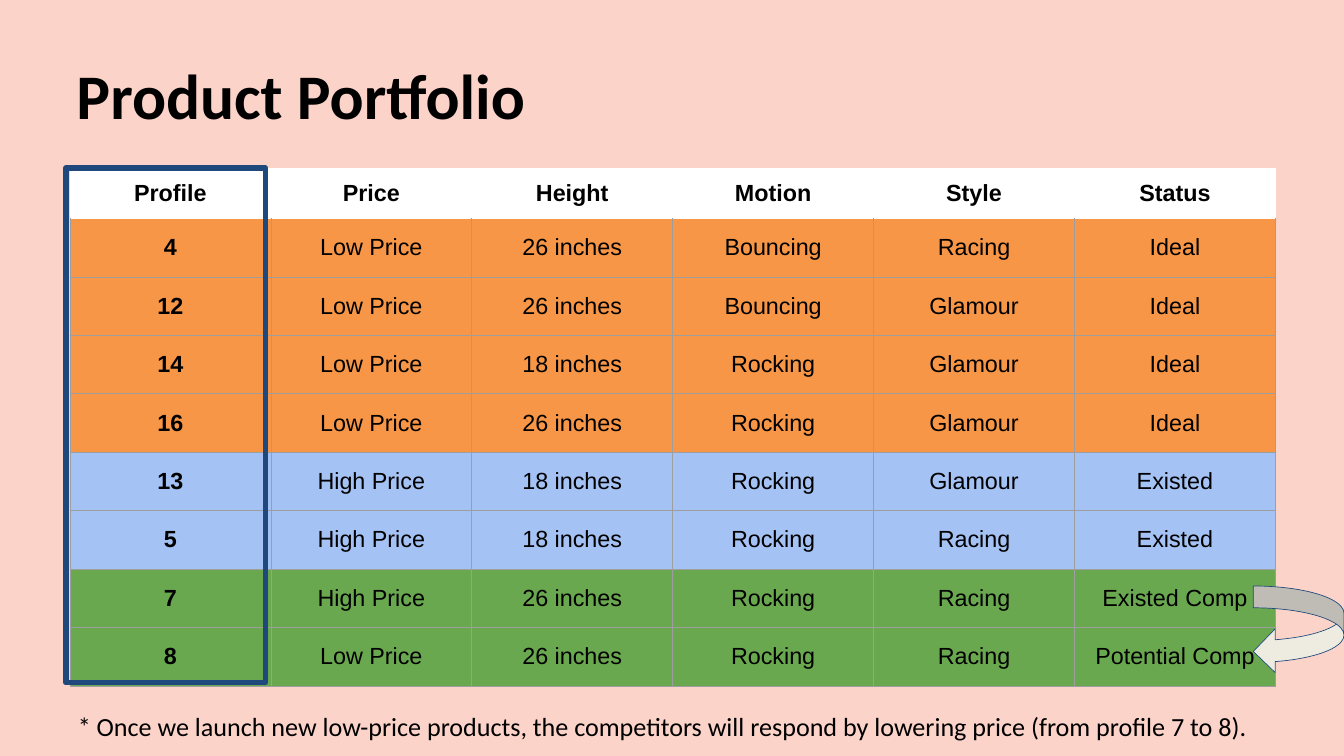
from lxml.etree import SubElement
from pptx import Presentation
from pptx.dml.color import RGBColor
from pptx.enum.shapes import MSO_SHAPE
from pptx.enum.text import MSO_ANCHOR, PP_ALIGN
from pptx.oxml.ns import qn
from pptx.util import Inches, Pt

COLORS = {
    "back": "FBD3C9",
    "text": "000000",
    "head": "FFFFFF",
    "ideal": "F79646",
    "own": "A4C2F4",
    "rival": "6AA84F",
    "grid": "9E9E9E",
    "arrow": "EEECE1",
    "navy": "1F497D",
}

ROWS = [
    ("head", "Profile", "Price", "Height", "Motion", "Style", "Status"),
    ("ideal", "4", "Low Price", "26 inches", "Bouncing", "Racing", "Ideal"),
    ("ideal", "12", "Low Price", "26 inches", "Bouncing", "Glamour", "Ideal"),
    ("ideal", "14", "Low Price", "18 inches", "Rocking", "Glamour", "Ideal"),
    ("ideal", "16", "Low Price", "26 inches", "Rocking", "Glamour", "Ideal"),
    ("own", "13", "High Price", "18 inches", "Rocking", "Glamour", "Existed"),
    ("own", "5", "High Price", "18 inches", "Rocking", "Racing", "Existed"),
    ("rival", "7", "High Price", "26 inches", "Rocking", "Racing", "Existed Comp"),
    ("rival", "8", "Low Price", "26 inches", "Rocking", "Racing", "Potential Comp"),
]
COL_WIDTH, HEAD_HEIGHT, ROW_HEIGHT = 2.99, 0.75, 0.87
INSET = Inches(0.1)


def color(name):
    return RGBColor.from_string(COLORS[name])


def paint(fill, name):
    fill.solid()
    fill.fore_color.rgb = color(name)


def set_font(para, face, size, bold=False):
    font = para.font
    font.name, font.size, font.bold = face, Pt(size), bold
    font.color.rgb = color("text")


def set_inset(item):
    item.margin_left = item.margin_right = INSET
    item.margin_top = item.margin_bottom = INSET


def add_text(slide, text, box, size, bold=False):
    frame = slide.shapes.add_textbox(*map(Inches, box)).text_frame
    frame.word_wrap = True
    set_inset(frame)
    para = frame.paragraphs[0]
    para.text = text
    set_font(para, "Calibri", size, bold)


def add_shape(slide, kind, box, width, fill=None):
    shape = slide.shapes.add_shape(kind, *map(Inches, box))
    shape.shadow.inherit = False
    shape.line.color.rgb = color("navy")
    shape.line.width = Pt(width)
    if fill:
        paint(shape.fill, fill)
    else:
        shape.fill.background()


def set_border(cell, sides):
    props = cell._tc.get_or_add_tcPr()
    for side, name in sides.items():
        line = SubElement(props, qn("a:ln" + side), w=str(Pt(0.75)))
        fill = SubElement(line, qn("a:solidFill"))
        SubElement(fill, qn("a:srgbClr"), val=COLORS[name])


def fill_cell(cell, text, row, col, shade):
    cell.text = text
    cell.vertical_anchor = MSO_ANCHOR.MIDDLE
    set_inset(cell)
    para = cell.text_frame.paragraphs[0]
    para.alignment = PP_ALIGN.CENTER
    set_font(para, "Arial", 25, row == 0 or col == 0)
    sides = dict.fromkeys("LRTB", "grid" if row else "head")
    if row == 1:
        sides["T"] = "head"
    set_border(cell, sides)
    paint(cell.fill, shade)


def add_grid(slide, left, top):
    count = len(ROWS[0]) - 1
    height = HEAD_HEIGHT + ROW_HEIGHT * (len(ROWS) - 1)
    box = (left, top, COL_WIDTH * count, height)
    table = slide.shapes.add_table(len(ROWS), count, *map(Inches, box)).table
    table.horz_banding = False
    for col in table.columns:
        col.width = Inches(COL_WIDTH)
    for row, (shade, *texts) in enumerate(ROWS):
        table.rows[row].height = Inches(ROW_HEIGHT if row else HEAD_HEIGHT)
        for col, text in enumerate(texts):
            fill_cell(table.cell(row, col), text, row, col, shade)


def main():
    deck = Presentation()
    deck.slide_width, deck.slide_height = Inches(20), Inches(11.25)
    slide = deck.slides.add_slide(deck.slide_layouts[6])
    paint(slide.background.fill, "back")
    add_text(slide, "Product Portfolio", (1.04, 0.74, 13.13, 1.39), 68, True)
    add_grid(slide, 1.04, 2.5)
    add_shape(slide, MSO_SHAPE.CURVED_LEFT_ARROW, (18.65, 8.72, 1.35, 1.3), 0.75, "arrow")
    note = (
        "* Once we launch new low-price products, the competitors "
        "will respond by lowering price (from profile 7 to 8)."
    )
    add_text(slide, note, (1.06, 10.47, 18, 0.56), 28)
    add_shape(slide, MSO_SHAPE.RECTANGLE, (0.98, 2.5, 2.97, 7.66), 6)
    deck.save("out.pptx")


if __name__ == "__main__":
    main()
